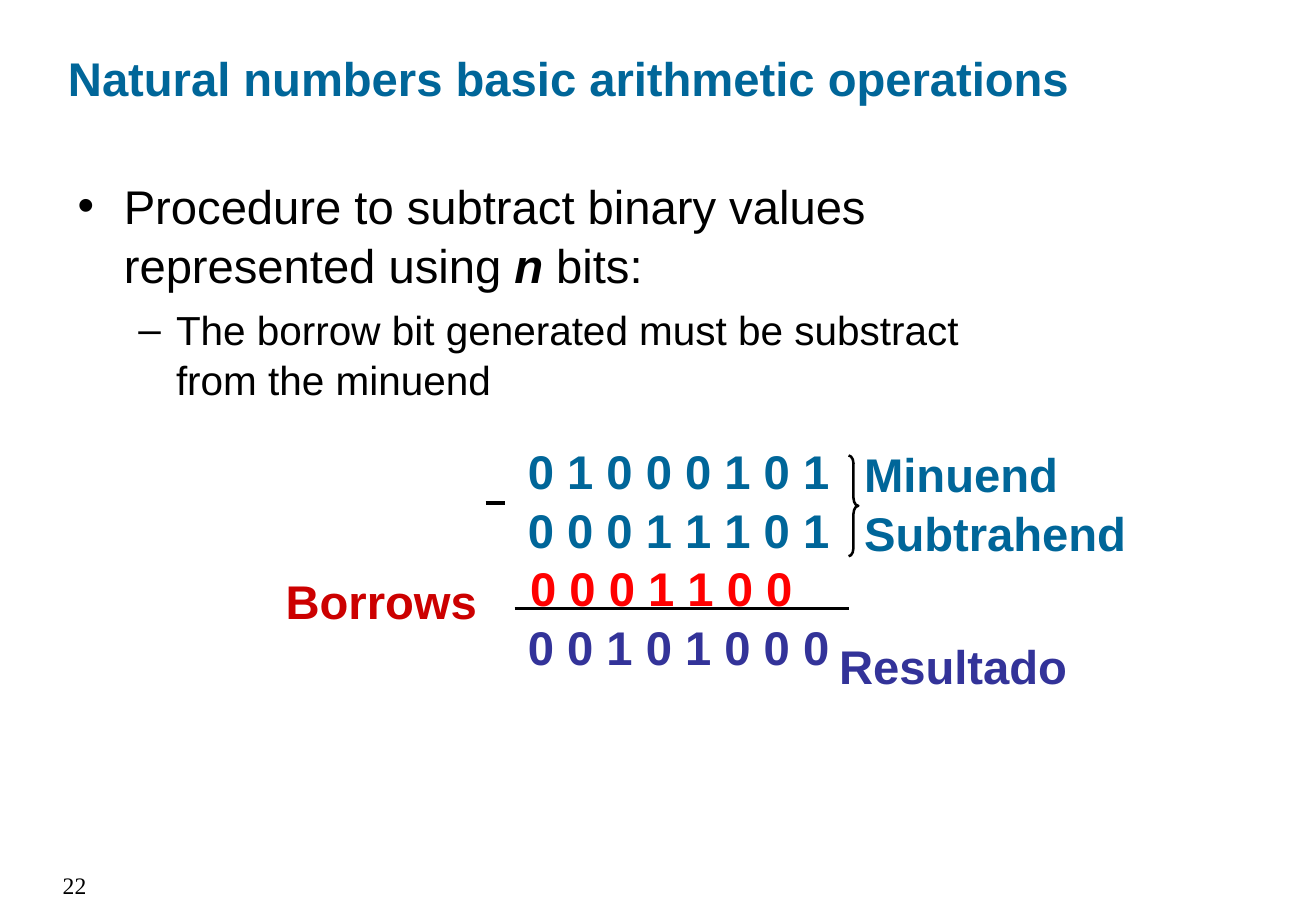
from lxml import etree
from pptx import Presentation
from pptx.dml.color import RGBColor
from pptx.enum import shapes, text
from pptx.oxml import ns
from pptx.util import Inches, Pt

BLUE, RED, DARK_RED, INDIGO, BLACK = "006699", "FF0000", "CC0000", "333399", "000000"
LEFT, CENTER, RIGHT = text.PP_ALIGN.LEFT, text.PP_ALIGN.CENTER, text.PP_ALIGN.RIGHT
LINE_SPACING = 1.04


def rgb(value):
    return RGBColor.from_string(value)


def place(shape, left, top, width, height):
    box = dict(left=left, top=top, width=width, height=height)
    for name, inches in box.items():
        setattr(shape, name, Inches(inches))


def prepare_frame(frame, **settings):
    values = dict(margin_left=Inches(0.1), margin_right=Inches(0.1),
                  margin_top=Inches(0.05), margin_bottom=Inches(0.05),
                  auto_size=text.MSO_AUTO_SIZE.NONE, word_wrap=True,
                  vertical_anchor=text.MSO_ANCHOR.TOP)
    for name, value in {**values, **settings}.items():
        setattr(frame, name, value)


def add_run(paragraph, words, color=BLACK, **settings):
    run = paragraph.add_run()
    run.text = words
    values = dict(name="Arial", size=Pt(28), bold=False, italic=False)
    for name, value in {**values, **settings}.items():
        setattr(run.font, name, value)
    run.font.color.rgb = rgb(color)
    return run


def add_text_shadow(run):
    effects = etree.Element(ns.qn("a:effectLst"))
    shadow = etree.SubElement(effects, ns.qn("a:outerShdw"),
                              dist="25400", dir="2700000", algn="tl")
    etree.SubElement(shadow, ns.qn("a:srgbClr"), val="808080")
    run.font._element.find(ns.qn("a:solidFill")).addnext(effects)


def set_indent(paragraph, margin, first_line):
    properties = paragraph._p.get_or_add_pPr()
    properties.set("marL", str(Inches(margin)))
    properties.set("indent", str(Inches(first_line)))


def add_shadowed_lines(slide, box, lines, wrap=False):
    """Add bold shadowed text; each line is (words, colour, alignment, indent)."""
    frame = slide.shapes.add_textbox(*map(Inches, box)).text_frame
    prepare_frame(frame, word_wrap=wrap)
    for index, (words, color, alignment, indent) in enumerate(lines):
        paragraph = frame.add_paragraph() if index else frame.paragraphs[0]
        paragraph.alignment = alignment
        paragraph.line_spacing = LINE_SPACING
        set_indent(paragraph, indent, 0)
        add_text_shadow(add_run(paragraph, words, color, bold=True))


def add_rule(slide, left, right, y, width):
    rule = slide.shapes.add_connector(
        shapes.MSO_CONNECTOR.STRAIGHT, *map(Inches, (left, y, right, y)))
    rule.line.color.rgb = rgb(BLACK)
    rule.line.width = Pt(width)
    etree.SubElement(rule._element.spPr, ns.qn("a:effectLst"))


def add_brace(slide, box):
    brace = slide.shapes.add_shape(shapes.MSO_SHAPE.RIGHT_BRACE, *map(Inches, box))
    brace.adjustments[0] = 0.83
    brace.shadow.inherit = False
    brace.fill.background()
    brace.line.color.rgb = rgb(BLACK)
    brace.line.width = Pt(1.5)


def fill_title(title):
    place(title, 0.46, 0.35, 9.76, 0.57)
    prepare_frame(title.text_frame, vertical_anchor=text.MSO_ANCHOR.BOTTOM)
    paragraph = title.text_frame.paragraphs[0]
    paragraph.alignment = LEFT
    add_run(paragraph, "Natural numbers basic arithmetic operations", BLUE, bold=True)


def fill_procedure(body):
    place(body, 0.54, 1.39, 8.12, 1.93)
    frame = body.text_frame
    prepare_frame(frame)
    procedure, borrow_rule = frame.paragraphs[0], frame.add_paragraph()
    borrow_rule.level = 1
    for paragraph, margin, hanging, before in (
            (procedure, 0.38, -0.38, 0), (borrow_rule, 0.81, -0.31, 6)):
        set_indent(paragraph, margin, hanging)
        paragraph.space_before = Pt(before)
        paragraph.line_spacing = LINE_SPACING
    add_run(procedure, "Procedure to subtract binary values represented using ")
    add_run(procedure, "n", bold=True, italic=True)
    add_run(procedure, " bits:")
    add_run(borrow_rule, "The borrow bit generated must be substract from the minuend",
            size=Pt(24))


def add_page_number(slide, number):
    frame = slide.shapes.add_textbox(*map(Inches, (0, 7.12, 0.81, 0.38))).text_frame
    prepare_frame(frame)
    frame.paragraphs[0].alignment = RIGHT
    add_run(frame.paragraphs[0], number, name="Times New Roman", size=Pt(14))


def add_subtraction(slide):
    add_brace(slide, (6.99, 3.75, 0.08, 0.83))
    add_rule(slide, 4, 4.16, 4.14, 2.25)
    add_shadowed_lines(slide, (4.16, 3.57, 2.77, 1.97), [
        ("0 1 0 0 0 1 0 1", BLUE, RIGHT, 0),
        ("0 0 0 1 1 1 0 1", BLUE, RIGHT, 0),
        ("0 0 0 1 1 0 0", RED, LEFT, 0.11),
        ("0 0 1 0 1 0 0 0", INDIGO, RIGHT, 0)], wrap=True)
    add_rule(slide, 4.24, 6.99, 5.01, 1.5)
    add_shadowed_lines(slide, (6.81, 5.18, 2.08, 0.57),
                       [("Resultado", INDIGO, CENTER, 0)])
    add_shadowed_lines(slide, (7.02, 3.6, 2.36, 1.04),
                       [("Minuend", BLUE, LEFT, 0), ("Subtrahend", BLUE, LEFT, 0)])
    add_shadowed_lines(slide, (2.25, 4.64, 1.78, 0.57),
                       [("Borrows", DARK_RED, CENTER, 0)])


def main():
    deck = Presentation()
    deck.slide_width, deck.slide_height = Inches(10.84), Inches(7.5)
    slide = deck.slides.add_slide(deck.slide_layouts[1])
    fill_title(slide.shapes.title)
    fill_procedure(slide.placeholders[1])
    add_page_number(slide, "22")
    add_subtraction(slide)
    deck.save("out.pptx")


if __name__ == "__main__":
    main()
